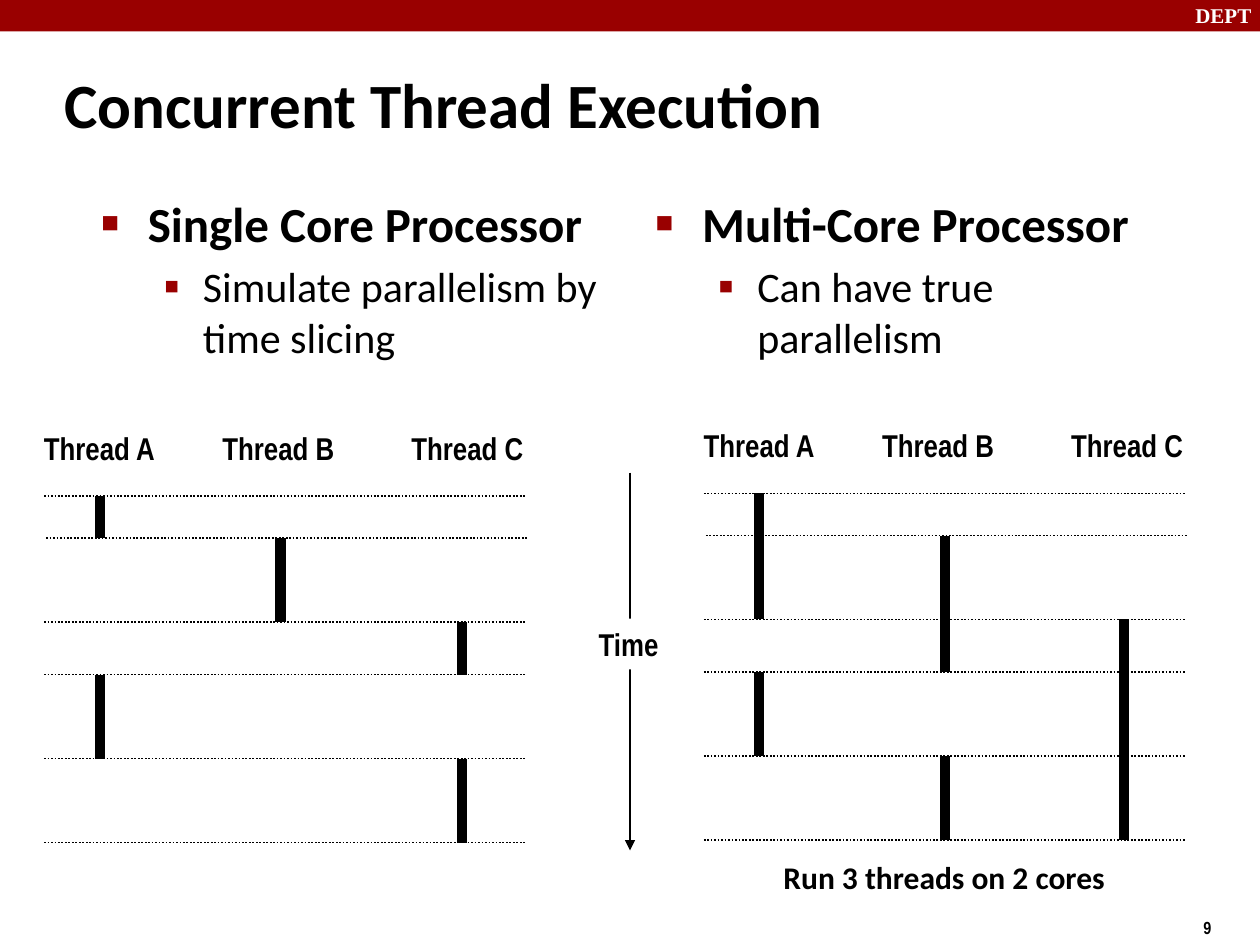
from lxml import etree
from pptx import Presentation, util as u
from pptx.dml.color import RGBColor
from pptx.enum import dml, shapes, text
from pptx.oxml.ns import qn

HUES = {"red": "990000", "black": "000000", "white": "FFFFFF"}
NARROW, SANS, SERIF = "Arial Narrow", "Calibri", "Times New Roman"


def hue(name):
    return RGBColor.from_string(HUES[name])


class Deck:
    def __init__(self):
        self.prs = Presentation()
        self.prs.slide_width, self.prs.slide_height = u.Pt(720), u.Pt(540)
        self.slide = self.prs.slides.add_slide(self.prs.slide_layouts[5])

    def style(self, para, size, face=NARROW, bold=True, color="black"):
        font = para.font
        font.size, font.name, font.bold = u.Pt(size), face, bold
        font.color.rgb = hue(color)

    def title(self, words, x, y, w, h):
        box = self.slide.shapes.title
        box.left, box.top, box.width, box.height = map(u.Pt, (x, y, w, h))
        frame = box.text_frame
        frame.text = words
        frame.auto_size = text.MSO_AUTO_SIZE.NONE
        frame.vertical_anchor = text.MSO_ANCHOR.MIDDLE
        para = frame.paragraphs[0]
        para.alignment = text.PP_ALIGN.LEFT
        self.style(para, 36, SANS)

    def bar(self, x, y, w, h, color):
        box = self.slide.shapes.add_shape(
            shapes.MSO_SHAPE.RECTANGLE, *map(u.Pt, (x, y, w, h)))
        box.shadow.inherit = False
        box.fill.solid()
        box.fill.fore_color.rgb = hue(color)
        box.line.fill.background()

    def box(self, x, y, w, h, wrap=False):
        box = self.slide.shapes.add_textbox(*map(u.Pt, (x, y, w, h)))
        box.text_frame.word_wrap = wrap
        return box

    def label(self, words, x, y, w, h=29, size=18, fill=None, **look):
        box = self.box(x, y, w, h)
        if fill:
            box.fill.solid()
            box.fill.fore_color.rgb = hue(fill)
        frame = box.text_frame
        frame.margin_right = 0
        frame.text = words
        self.style(frame.paragraphs[0], size, **look)

    def bullet(self, para, mark, pct, left, hang):
        props = para._p.get_or_add_pPr()
        props.set("marL", str(u.Pt(left)))
        props.set("indent", str(-u.Pt(hang)))
        tint = etree.SubElement(props, qn("a:buClr"))
        etree.SubElement(tint, qn("a:srgbClr"), val=HUES["red"])
        etree.SubElement(props, qn("a:buSzPct"), val=str(pct * 1000))
        etree.SubElement(props, qn("a:buFont"), typeface=SERIF)
        etree.SubElement(props, qn("a:buChar"), char=mark)

    def points(self, x, head, sub):
        frame = self.box(x, 107, 305, 392, wrap=True).text_frame
        first, second = frame.paragraphs[0], frame.add_paragraph()
        first.text, second.text = head, sub
        second.level = 1
        first.space_before, second.space_before = u.Pt(5.6), u.Pt(4.8)
        self.bullet(first, "■", 60, 27, 26.6)
        self.bullet(second, "▪", 110, 58.5, 22.5)
        self.style(first, 28, SANS)
        self.style(second, 24, SANS, bold=False)

    def line(self, x1, y1, x2, y2, width=1, dots=False, arrow=False):
        line = self.slide.shapes.add_connector(
            shapes.MSO_CONNECTOR.STRAIGHT, *map(u.Pt, (x1, y1, x2, y2)))
        line.line.width = u.Pt(width)
        line.line.color.rgb = hue("black")
        if dots:
            line.line.dash_style = dml.MSO_LINE.ROUND_DOT
        if arrow:
            etree.SubElement(line.line._get_or_add_ln(), qn("a:tailEnd"),
                             type="triangle")
        etree.SubElement(line._element.spPr, qn("a:effectLst"))

    def threads(self, x, y, cols, runs):
        for name, gap in zip("ABC", (0, 102, 210)):
            self.label(f"Thread {name}", x - 7.2 + gap, y - 42, 82)
        rows = [y + step for step in (0, 24, 72, 102, 150, 198)]
        for name, start, end in runs:
            mid = x + cols[name]
            self.line(mid, rows[start], mid, rows[end], width=6)
        for i, row in enumerate(rows):
            left = x + (1.2 if i == 1 else 0)
            self.line(left, row, left + 275, row, dots=True)


def main():
    deck = Deck()
    deck.bar(0, 0, 720, 18, "red")
    deck.label("DEPT", 676, -2, 44, 22, 12, face=SERIF, color="white")
    deck.label("9", 680.5, 520.5, 36, 19, 10)
    deck.title("Concurrent Thread Execution", 29.5, 29, 598, 60)
    deck.points(50.4, "Single Core Processor",
                "Simulate parallelism by time slicing")
    deck.points(367.2, "Multi-Core Processor", "Can have true parallelism")
    deck.line(360, 270, 360, 486, arrow=True)
    deck.label("Time", 335, 353.5, 50, fill="white")
    deck.threads(25.2, 283.5, {"A": 32, "B": 135, "C": 238.8},
                 [("A", 0, 1), ("B", 1, 2), ("C", 2, 3),
                  ("A", 3, 4), ("C", 4, 5)])
    deck.threads(402.2, 282, {"A": 31.6, "B": 137.8, "C": 240},
                 [("A", 0, 2), ("B", 1, 3), ("C", 2, 5),
                  ("A", 3, 4), ("B", 4, 5)])
    deck.label("Run 3 threads on 2 cores", 440.6, 487, 204, face=SANS)
    deck.prs.save("out.pptx")


if __name__ == "__main__":
    main()
